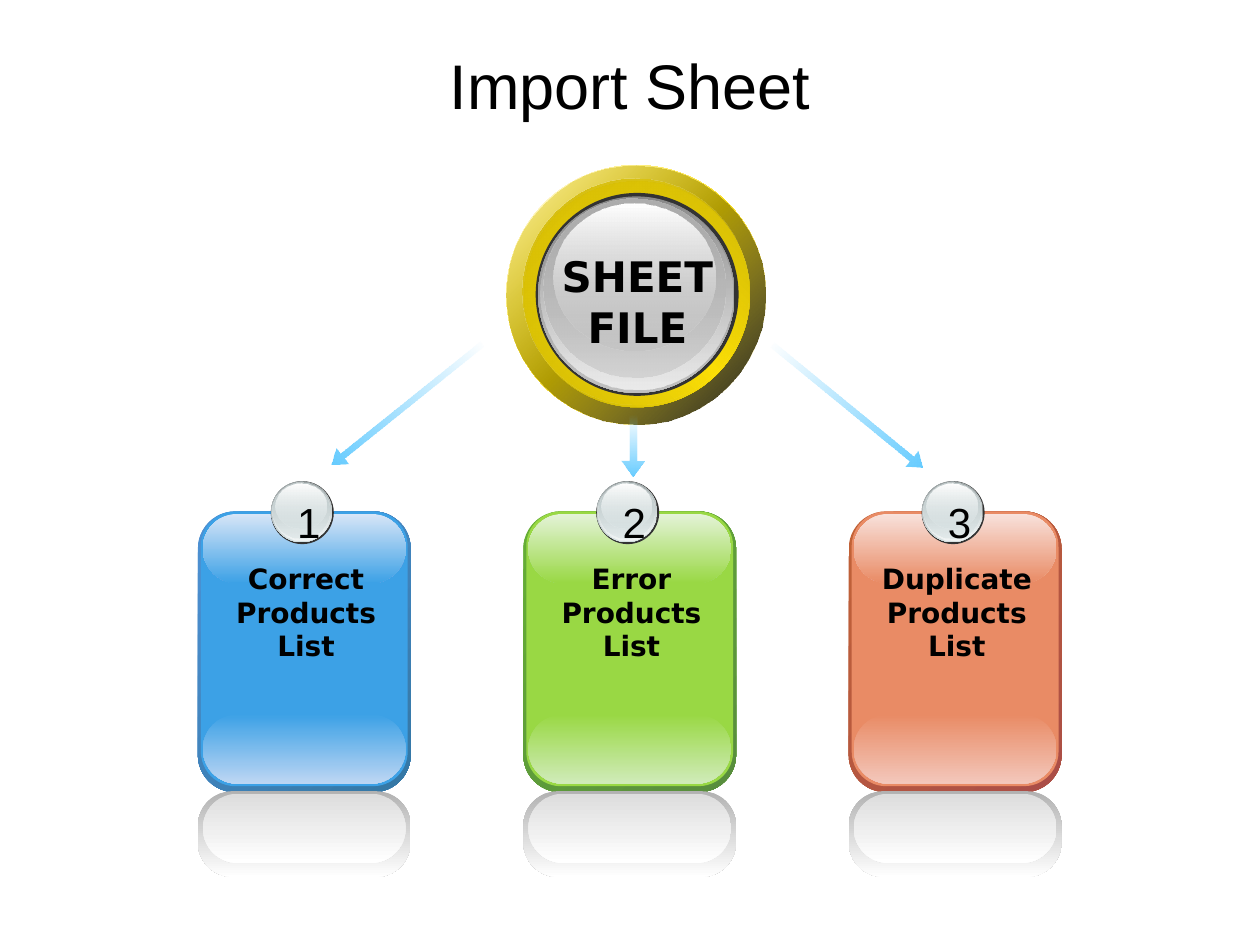
"""Build the import slide: a round file badge with arrows to three result cards."""
from dataclasses import dataclass

from pptx import Presentation
from pptx.dml.color import RGBColor as Rgb
from pptx.enum.shapes import MSO_SHAPE as Kind
from pptx.enum.text import MSO_ANCHOR as Anchor, MSO_AUTO_SIZE as Fit, PP_ALIGN as Align
from pptx.oxml import parse_xml
from pptx.oxml.ns import nsdecls, qn
from pptx.util import Cm, Pt

COLOURS = {
    "black": "000000", "white": "FFFFFF", "dark": "333333",
    "sky": "66CCFF", "shade": "B2B2B2", "pale": "DDDDDD",
    "steel": "99A1A2", "mist": "D6E1E2", "frost": "F2F5F5", "haze": "C1CBCC",
    "gold": "FCDF06", "bronze": "C1AB05", "brass": "CFB705",
    "slate": "898989", "silver": "C0C0C0", "pearl": "EBEBEB", "ash": "AEAEAE",
    "blue": "3CA1E6", "blue rim": "4E91D4", "blue edge": "3477A4",
    "blue top": "D7E5F7", "blue low": "BDD6F3",
    "green": "99D844", "green rim": "66AF35", "green edge": "588D3D",
    "green top": "E4F3D8", "green low": "D0EBB9",
    "coral": "E98B65", "coral rim": "C16237", "coral edge": "AB4E47",
    "coral top": "F8E1DB", "coral low": "F3C7BB",
}


@dataclass
class Stop:
    name: str
    alpha: int = 100


@dataclass
class Paint:
    stops: list[Stop]
    angle: int = 90


@dataclass
class Part:
    x: float
    y: float
    w: float
    h: float
    paint: Paint
    kind: Kind = Kind.OVAL
    adjust: tuple[float, ...] = ()
    turn: float = 0


@dataclass
class Label:
    x: float
    y: float
    w: float
    h: float
    size: int
    font: str = "Arial"
    bold: bool = False
    wrap: bool = True
    fit: Fit = Fit.SHAPE_TO_FIT_TEXT
    anchor: Anchor = Anchor.TOP


def blend(*stops: str | Stop, angle: int = 90) -> Paint:
    return Paint([Stop(s) if isinstance(s, str) else s for s in stops], angle)


def fill(shape, paint: Paint) -> None:
    if len(paint.stops) == 1:
        shape.fill.solid()
        shape.fill.fore_color.rgb = Rgb.from_string(COLOURS[paint.stops[0].name])
        return
    step = 100000 // (len(paint.stops) - 1)
    marks = "".join(
        f'<a:gs pos="{i * step}"><a:srgbClr val="{COLOURS[s.name]}">'
        f'<a:alpha val="{s.alpha * 1000}"/></a:srgbClr></a:gs>'
        for i, s in enumerate(paint.stops))
    shape.fill.background()
    props = shape._element.spPr
    props.replace(props.find(qn("a:noFill")), parse_xml(
        f'<a:gradFill {nsdecls("a")} rotWithShape="1"><a:gsLst>{marks}</a:gsLst>'
        f'<a:lin ang="{paint.angle * 60000}" scaled="0"/></a:gradFill>'))


def draw(shapes, part: Part, shift: float = 0) -> None:
    shape = shapes.add_shape(part.kind, Cm(part.x + shift), Cm(part.y), Cm(part.w), Cm(part.h))
    shape.shadow.inherit = False
    shape.line.fill.background()
    shape.rotation = part.turn
    for i, value in enumerate(part.adjust):
        shape.adjustments[i] = value
    fill(shape, part.paint)


def write(shapes, label: Label, text: str, shift: float = 0) -> None:
    box = shapes.add_textbox(Cm(label.x + shift), Cm(label.y), Cm(label.w), Cm(label.h))
    frame = box.text_frame
    frame.word_wrap, frame.auto_size = label.wrap, label.fit
    frame.vertical_anchor = label.anchor
    frame.text = text
    line = frame.paragraphs[0]
    line.alignment = Align.CENTER
    font = line.runs[0].font
    font.name, font.size, font.bold = label.font, Pt(label.size), label.bold
    font.color.rgb = Rgb.from_string(COLOURS["black"])


def panel(x: float, y: float, w: float, h: float, curve: float, paint: Paint) -> Part:
    return Part(x, y, w, h, paint, Kind.ROUNDED_RECTANGLE, (curve,))


def arrow(x: float, y: float, w: float, h: float, turn: float) -> Part:
    paint = blend("sky", Stop("sky", 0), angle=0)
    return Part(x, y, w, h, paint, Kind.LEFT_ARROW, (0.31, 0.72), turn)


def tile(hue: str) -> list[Part]:
    return [
        panel(0, 10.31, 4.29, 5.66, 0.175, blend(f"{hue} rim", f"{hue} edge", angle=45)),
        panel(0.06, 10.31, 4.17, 5.54, 0.167, blend(hue)),
        panel(0.1, 14.4, 4.09, 1.4, 0.5, blend(hue, f"{hue} low")),
        panel(0.1, 10.36, 4.09, 1.4, 0.5, blend(f"{hue} top", hue)),
        panel(0, 15.95, 4.29, 1.73, 0.404, blend("shade", "white")),
        panel(0.1, 16, 4.09, 1.4, 0.5, blend("pale", "white")),
    ]


DISC = [
    Part(1.47, 9.7, 1.27, 1.27, blend("dark")),
    Part(1.48, 9.7, 1.22, 1.23, blend("steel", "mist")),
    Part(1.5, 9.7, 1.19, 1.19, blend(Stop("mist", 0), "frost")),
    Part(1.51, 9.73, 1.14, 1.12, blend("haze", Stop("mist", 48))),
    Part(1.57, 9.75, 1.02, 0.91, blend("white", Stop("mist", 38))),
]
BADGE = [
    Part(10.21, 3.33, 5.23, 5.23, blend("white", "gold", "white", angle=45)),
    Part(10.21, 3.33, 5.23, 5.23, blend(Stop("gold", 32), Stop("black", 90), angle=45)),
    Part(10.57, 3.66, 4.55, 4.55, blend("bronze", "gold", "bronze", angle=315)),
    Part(10.54, 3.61, 4.55, 4.55, blend("brass", Stop("gold", 0), angle=45)),
    Part(10.8, 3.89, 4.09, 4.09, blend("dark")),
    Part(10.85, 3.96, 3.96, 3.96, blend("slate", "silver")),
    Part(10.9, 3.99, 3.86, 3.86, blend(Stop("silver", 0), "pearl")),
    Part(10.95, 4.01, 3.68, 3.61, blend("ash", Stop("silver", 48))),
    Part(11.15, 4.11, 3.28, 2.95, blend("white", Stop("silver", 38))),
]
ARROWS = [
    arrow(6.25, 7.95, 3.89, 0.41, 321.4),
    arrow(15.14, 7.98, 3.89, 0.41, 219.4),
    arrow(12.14, 8.76, 1.24, 0.46, 270),
]
TITLE = Label(0, 0.64, 25.4, 2.11, 36, fit=Fit.NONE, anchor=Anchor.MIDDLE)
CORE = Label(10.82, 4.93, 4.06, 2.31, 24, "DejaVu Sans", True)
DIGIT = Label(1.75, 9.88, 0.71, 0.91, 24, wrap=False)
NAME = Label(0.15, 11.2, 4.06, 2.31, 16, "DejaVu Sans", True)
CARDS = [("blue", "Correct"), ("green", "Error"), ("coral", "Duplicate")]
LEFT, PITCH = 3.99, 6.56


def main() -> None:
    deck = Presentation()
    deck.slide_width, deck.slide_height = Cm(25.4), Cm(19.05)
    shapes = deck.slides.add_slide(deck.slide_layouts[6]).shapes
    write(shapes, TITLE, "Import Sheet")
    for i, (hue, word) in enumerate(CARDS):
        card = shapes.add_group_shape().shapes
        shift = LEFT + i * PITCH
        for part in tile(hue) + DISC:
            draw(card, part, shift)
        write(card, DIGIT, str(i + 1), shift)
        write(card, NAME, f"{word} Products List", shift)
    badge = shapes.add_group_shape().shapes
    for part in BADGE:
        draw(badge, part)
    write(shapes, CORE, "SHEET FILE")
    for part in ARROWS:
        draw(shapes, part)
    deck.save("out.pptx")


main()
